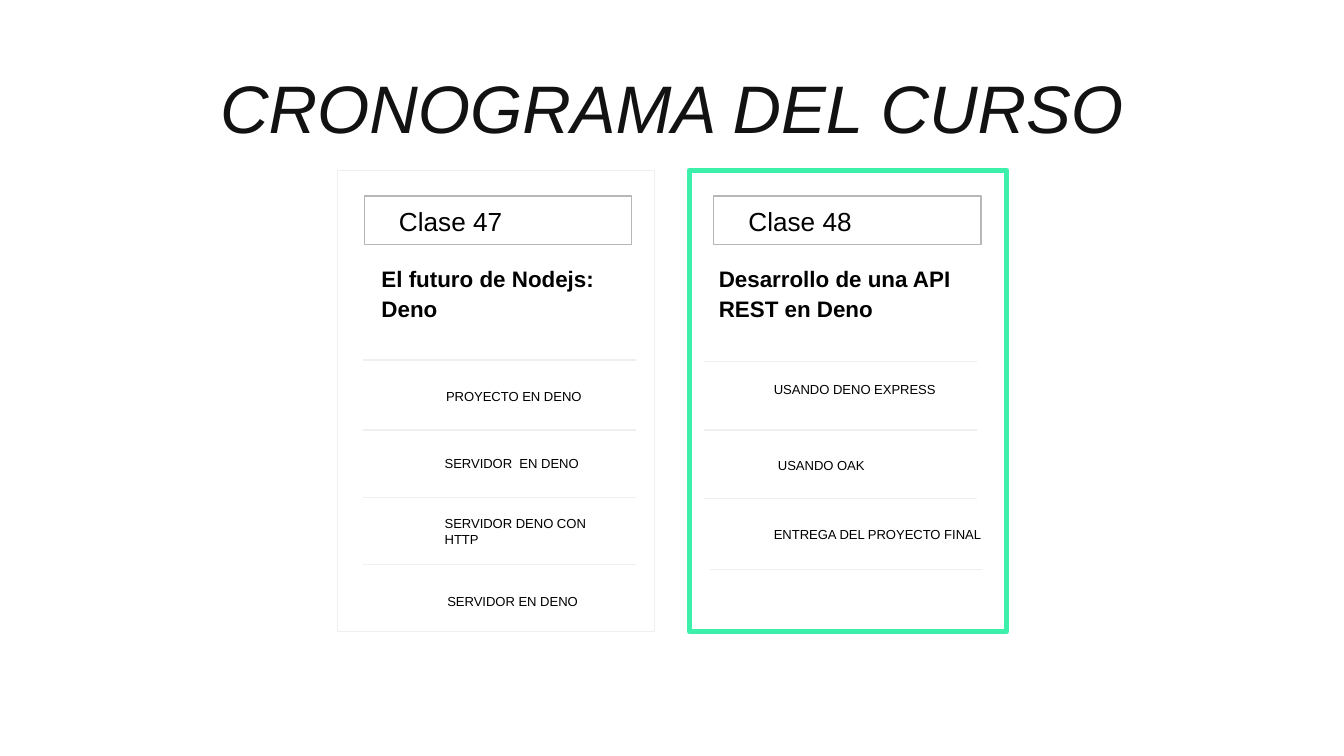
from lxml import etree
from pptx import Presentation
from pptx.dml.color import RGBColor
from pptx.enum.shapes import MSO_CONNECTOR, MSO_SHAPE
from pptx.enum.text import MSO_ANCHOR, MSO_AUTO_SIZE, PP_ALIGN
from pptx.oxml.ns import qn
from pptx.util import Inches, Pt

FONT = "Arial"
BLACK = RGBColor(0x00, 0x00, 0x00)
TITLE_INK = RGBColor(0x12, 0x12, 0x12)
PALE_GRAY = RGBColor(0xEF, 0xEF, 0xEF)
MID_GRAY = RGBColor(0xB7, 0xB7, 0xB7)
MINT = RGBColor(0x3C, 0xEF, 0xAB)

CARD_TOP, CARD_WIDTH, CARD_HEIGHT = 1.27, 2.36, 3.43

# Offsets are inches from the card's top left corner.
# Each topic is (text, left, top); each rule is (left, top).
CLASSES = [
    dict(
        left=2.51, border=PALE_GRAY, border_width=0.75,
        label="Clase 47", label_left=0.2,
        heading="El futuro de Nodejs: Deno", heading_left=0.23,
        topic_width=1.52,
        topics=[("PROYECTO EN DENO", 0.71, 1.52),
                ("SERVIDOR  EN DENO", 0.7, 2.02),
                ("SERVIDOR DENO CON HTTP", 0.7, 2.53),
                ("SERVIDOR EN DENO", 0.72, 3.05)],
        rules=[(0.19, 1.41), (0.19, 1.93), (0.19, 2.43), (0.19, 2.93)],
    ),
    dict(
        left=5.13, border=MINT, border_width=3,
        label="Clase 48", label_left=0.18,
        heading="Desarrollo de una API REST en Deno", heading_left=0.12,
        topic_width=1.83,
        topics=[("USANDO DENO EXPRESS", 0.53, 1.47),
                ("USANDO OAK", 0.56, 2.04),
                ("ENTREGA DEL PROYECTO FINAL", 0.53, 2.55)],
        rules=[(0.11, 1.42), (0.11, 1.93), (0.11, 2.44), (0.15, 2.97)],
    ),
]


def write_text(shape, text, size, color=BLACK, bold=False, italic=False,
               align=PP_ALIGN.LEFT, anchor=MSO_ANCHOR.TOP, spacing=1.0):
    frame = shape.text_frame
    frame.word_wrap = True
    frame.auto_size = MSO_AUTO_SIZE.NONE
    frame.vertical_anchor = anchor
    frame.margin_left = frame.margin_right = Inches(0.1)
    frame.margin_top = frame.margin_bottom = Inches(0.1)
    frame.text = text
    paragraph = frame.paragraphs[0]
    paragraph.alignment = align
    paragraph.line_spacing = spacing
    paragraph.space_before = Pt(0)
    font = paragraph.runs[0].font
    font.name, font.size = FONT, Pt(size)
    font.bold, font.italic = bold, italic
    font.color.rgb = color


def add_text(slide, left, top, width, height, text, **style):
    box = slide.shapes.add_textbox(Inches(left), Inches(top),
                                   Inches(width), Inches(height))
    write_text(box, text, **style)


def add_frame(slide, left, top, width, height, color, line_width):
    frame = slide.shapes.add_shape(MSO_SHAPE.RECTANGLE, Inches(left), Inches(top),
                                   Inches(width), Inches(height))
    frame.shadow.inherit = False
    frame.fill.background()
    frame.line.color.rgb = color
    frame.line.width = Pt(line_width)


def add_rule(slide, left, top, width):
    rule = slide.shapes.add_connector(MSO_CONNECTOR.STRAIGHT, Inches(left), Inches(top),
                                      Inches(left + width), Inches(top))
    rule.line.color.rgb = PALE_GRAY
    rule.line.width = Pt(0.75)
    etree.SubElement(rule.element.spPr, qn("a:effectLst"))


def place_title(slide, left, top, width, height):
    title = slide.shapes.title
    title.left, title.top = Inches(left), Inches(top)
    title.width, title.height = Inches(width), Inches(height)
    write_text(title, "CRONOGRAMA DEL CURSO", size=36, color=TITLE_INK, italic=True,
               align=PP_ALIGN.CENTER, anchor=MSO_ANCHOR.MIDDLE)


def place_class_card(slide, left, top, width, height, course_class):
    # Card outline
    add_frame(slide, left, top, width, height,
              course_class["border"], course_class["border_width"])

    # Class label
    label_left = left + course_class["label_left"]
    add_frame(slide, label_left, top + 0.19, 1.99, 0.36, MID_GRAY, 0.75)
    add_text(slide, label_left + 0.16, top + 0.16, 1.35, 0.4,
             course_class["label"], size=14)

    # Heading
    add_text(slide, left + course_class["heading_left"], top + 0.57, 2.2, 0.46,
             course_class["heading"], size=12, bold=True, spacing=1.15)

    # Topics and the rules between them
    for topic, x, y in course_class["topics"]:
        add_text(slide, left + x, top + y, course_class["topic_width"], 0.31,
                 topic, size=7, anchor=MSO_ANCHOR.MIDDLE)
    for x, y in course_class["rules"]:
        add_rule(slide, left + x, top + y, 2.03)


def main():
    presentation = Presentation()
    # Widescreen, 16:9
    presentation.slide_width = Inches(10)
    presentation.slide_height = Inches(10 * 9 / 16)
    slide = presentation.slides.add_slide(presentation.slide_layouts[5])

    place_title(slide, 1.53, 0.25, 6.94, 1.08)
    for course_class in CLASSES:
        place_class_card(slide, course_class["left"], CARD_TOP,
                         CARD_WIDTH, CARD_HEIGHT, course_class)

    presentation.save("out.pptx")


if __name__ == "__main__":
    main()
